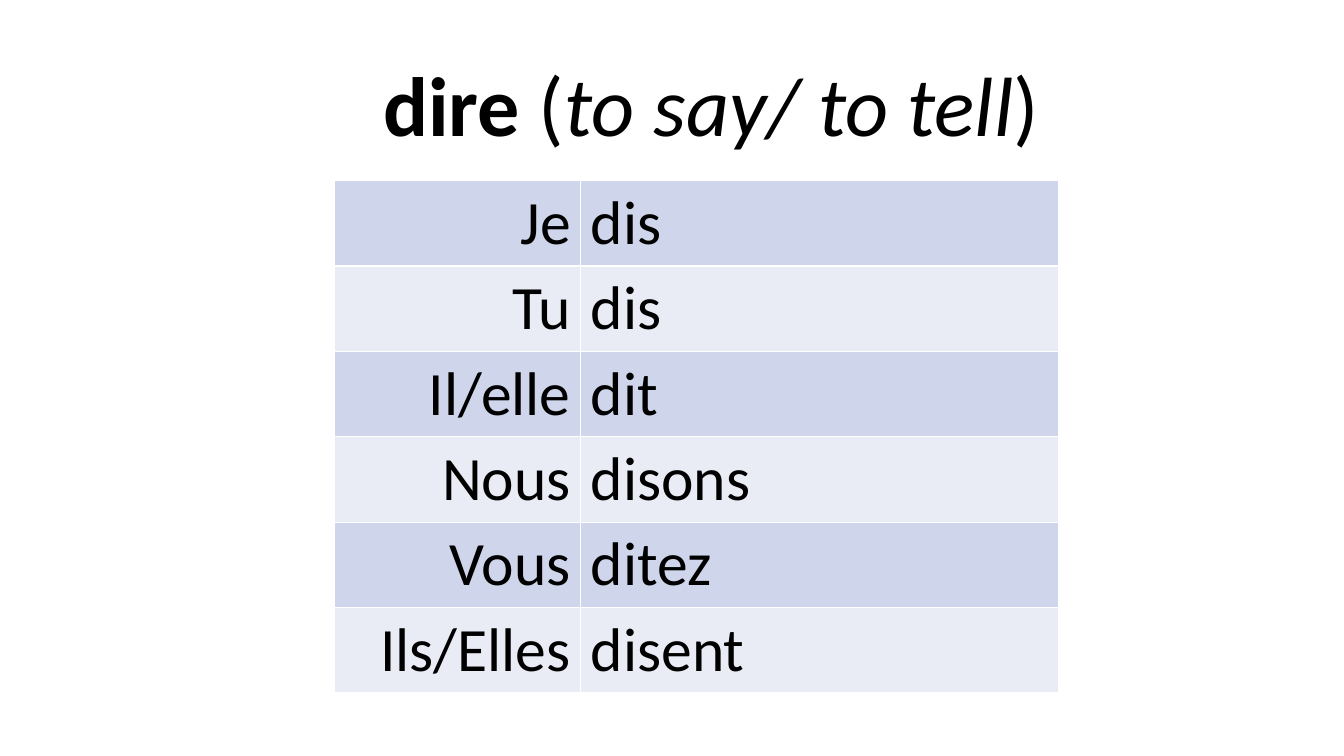
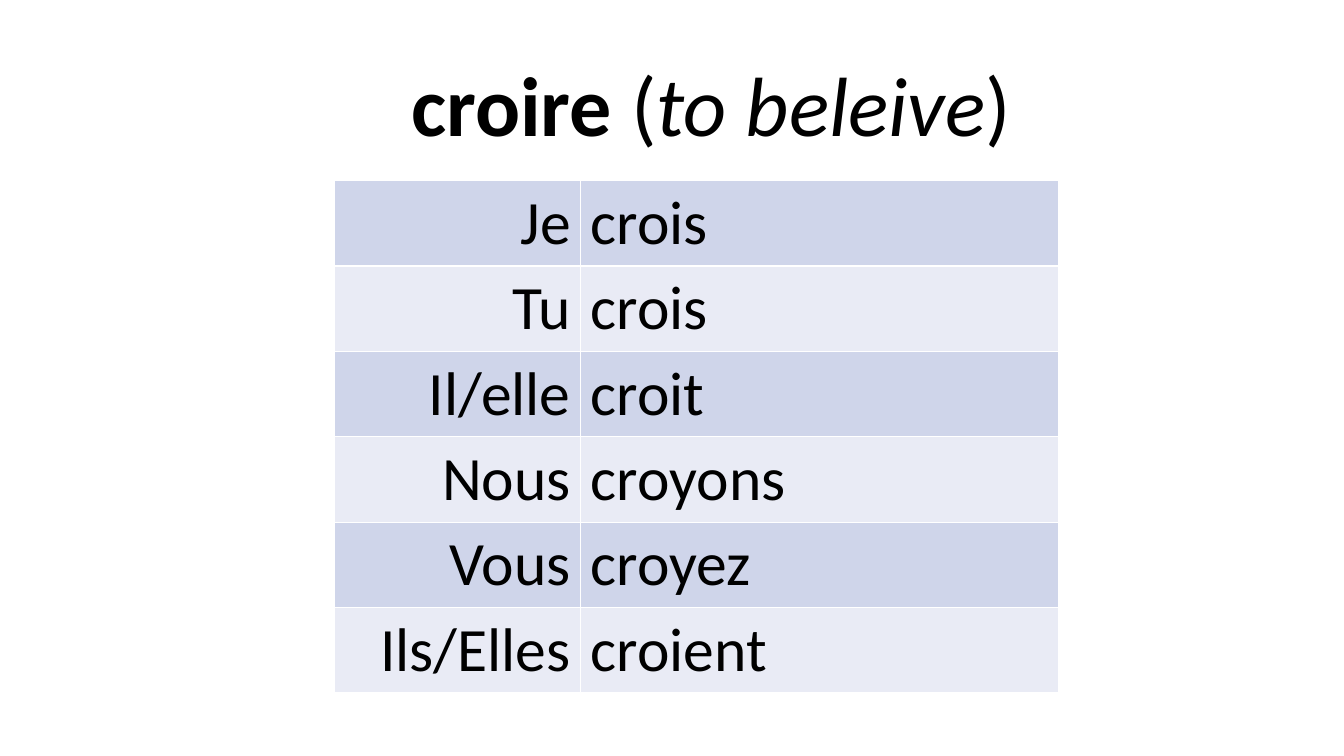
from lxml.etree import SubElement
from pptx import Presentation
from pptx.dml.color import RGBColor
from pptx.enum.text import MSO_ANCHOR, MSO_AUTO_SIZE, PP_ALIGN
from pptx.oxml.ns import qn
from pptx.util import Cm, Pt

FONT = "Calibri"
BLACK, WHITE = "000000", "FFFFFF"
BANDS = ("CFD5EA", "E9EBF5")
PRONOUNS = ("Je", "Tu", "Il/elle", "Nous", "Vous", "Ils/Elles")
VERBS = (
    ("dire", "to say/ to tell",
     ("dis", "dis", "dit", "disons", "ditez", "disent")),
    ("croire", "to beleive",
     ("crois", "crois", "croit", "croyons", "croyez", "croient")),
)
TITLE_BOX = (Cm(4.24), Cm(1.12), Cm(27.36), Cm(2.9))
TABLE_BOX = (Cm(8.43), Cm(4.55), Cm(18.26), Cm(12.9))
PRONOUN_SHARE = 0.34


def color(value):
    return RGBColor.from_string(value)


def style_run(r, size, bold=False, italic=False):
    r.font.name = FONT
    r.font.size = Pt(size)
    r.font.bold = bold
    r.font.italic = italic
    r.font.color.rgb = color(BLACK)


def add_borders(cell):
    props = cell._tc.get_or_add_tcPr()
    for side in ("a:lnL", "a:lnR", "a:lnT", "a:lnB"):
        ln = SubElement(props, qn(side), w=str(Pt(1)))
        fill = SubElement(ln, qn("a:solidFill"))
        SubElement(fill, qn("a:srgbClr"), val=WHITE)


def place_title(s, box, verb, meaning):
    sp = s.shapes.title
    sp.left, sp.top, sp.width, sp.height = box
    tf = sp.text_frame
    tf.word_wrap = True
    tf.auto_size = MSO_AUTO_SIZE.NONE
    tf.vertical_anchor = MSO_ANCHOR.BOTTOM
    p = tf.paragraphs[0]
    p.alignment = PP_ALIGN.CENTER
    p.line_spacing = 0.9
    parts = ((verb, True, False), (" (", False, False),
             (meaning, False, True), (")", False, False))
    for text, bold, italic in parts:
        r = p.add_run()
        r.text = text
        style_run(r, 60, bold, italic)


def fill_cell(cell, text, align, band):
    add_borders(cell)
    cell.fill.solid()
    cell.fill.fore_color.rgb = color(band)
    p = cell.text_frame.paragraphs[0]
    p.text = text
    p.alignment = align
    style_run(p.runs[0], 44)


def place_table(s, box, forms):
    left, top, width, height = box
    table = s.shapes.add_table(len(forms), 2, left, top, width, height).table
    table.first_row = False
    table.horz_banding = False
    pronoun_width = int(width * PRONOUN_SHARE + 0.5)
    table.columns[0].width = pronoun_width
    table.columns[1].width = width - pronoun_width
    for i, (pronoun, form) in enumerate(zip(PRONOUNS, forms)):
        band = BANDS[i % 2]
        fill_cell(table.cell(i, 0), pronoun, PP_ALIGN.RIGHT, band)
        fill_cell(table.cell(i, 1), form, PP_ALIGN.LEFT, band)


def add_verb_slide(prs, verb, meaning, forms):
    s = prs.slides.add_slide(prs.slide_layouts[5])
    place_title(s, TITLE_BOX, verb, meaning)
    place_table(s, TABLE_BOX, forms)


def main():
    prs = Presentation()
    prs.slide_width, prs.slide_height = Cm(33.87), Cm(19.05)
    for verb, meaning, forms in VERBS:
        add_verb_slide(prs, verb, meaning, forms)
    prs.save("out.pptx")


if __name__ == "__main__":
    main()
